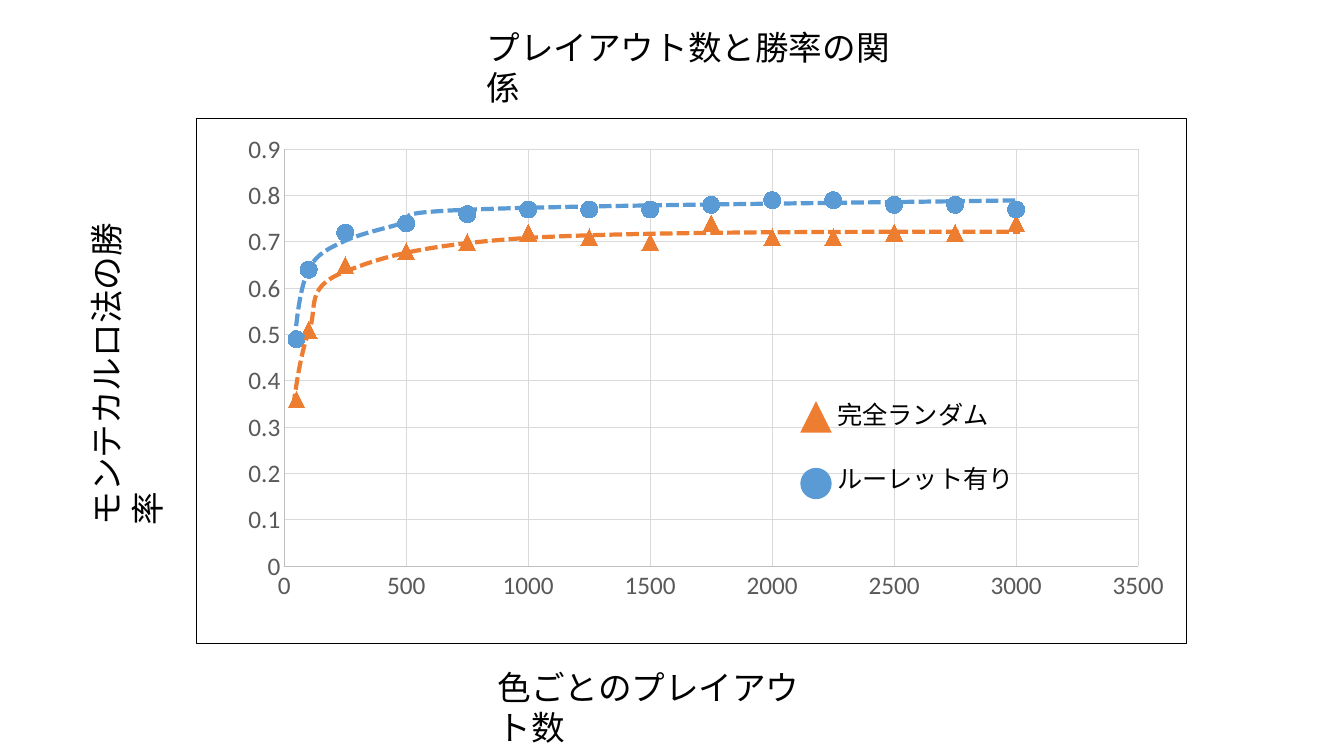
from lxml import etree
from pptx import Presentation
from pptx import util as u
from pptx.chart.data import XyChartData
from pptx.dml.color import RGBColor
from pptx.enum import chart as ch, dml, shapes, text
from pptx.oxml import parse_xml
from pptx.oxml.ns import nsdecls, qn

Cm, Pt = u.Cm, u.Pt
MSO = shapes.MSO_SHAPE

THEME = dict(
    orange="ED7D31", blue="5B9BD5", ink="000000", tick="595959",
    axis="BFBFBF", grid="D9D9D9",
    text_font="Times New Roman", chart_font="Calibri",
    label_size=24, legend_size=18, tick_size=18,
    marker_size=12, thin=0.75, trend=3,
)

# text, left, top, width, rotation (cm, degrees)
LABELS = [
    ("プレイアウト数と勝率の関係", 12.01, 0.55, 10.82, 0),
    ("色ごとのプレイアウト数", 12.29, 16.68, 8.94, 0),
    ("モンテカルロ法の勝率", -1.53, 8.64, 8.43, 270),
]
CHART_BOX = (4.93, 2.97, 24.99, 13.26)
PLOT = dict(x=0.089, y=0.059, w=0.862, h=0.794)
PLAYOUTS = [50, 100] + list(range(250, 3001, 250))
SERIES = [
    ("Series 1", "blue", ch.XL_MARKER_STYLE.CIRCLE,
     [0.49, 0.64, 0.72, 0.74, 0.76, 0.77, 0.77, 0.77, 0.78, 0.79, 0.79, 0.78, 0.78, 0.77]),
    ("Series 2", "orange", ch.XL_MARKER_STYLE.TRIANGLE,
     [0.36, 0.51, 0.65, 0.68, 0.7, 0.72, 0.71, 0.7, 0.74, 0.71, 0.71, 0.72, 0.72, 0.74]),
]
# text, colour, shape, top of mark, top of text
LEGEND = [
    ("完全ランダム", "orange", MSO.ISOSCELES_TRIANGLE, 10.11, 9.93),
    ("ルーレット有り", "blue", MSO.OVAL, 11.79, 11.56),
]
LEGEND_MARK_LEFT, LEGEND_TEXT_LEFT, MARK = 20.17, 20.85, 0.79
# colour, then the start point followed by three points per Bezier segment
TRENDS = [
    ("orange", [
        (7.39, 10.24),
        (7.49, 9.55), (7.59, 8.86), (7.8, 8.31),
        (8, 7.75), (7.7, 7.26), (8.61, 6.88),
        (9.55, 6.5), (10.54, 6.17), (13.39, 5.99),
        (16.23, 5.84), (20.96, 5.84), (25.7, 5.84)]),
    ("blue", [
        (7.42, 8.64),
        (7.49, 7.92), (7.57, 7.24), (7.77, 6.81),
        (7.98, 6.38), (8.28, 6.27), (8.69, 6.07),
        (9.09, 5.89), (9.65, 5.77), (10.21, 5.61),
        (10.74, 5.49), (9.35, 5.38), (11.91, 5.28),
        (14.5, 5.18), (20.07, 5.13), (25.63, 5.05)]),
]


def rgb(name):
    return RGBColor.from_string(THEME[name])


def paint_line(line, color, width):
    line.color.rgb = rgb(color)
    line.width = Pt(THEME[width])


def set_font(font, size, color, face):
    font.size = Pt(THEME[size])
    font.color.rgb = rgb(color)
    font.name = THEME[face]


def add_text(parent, content, left, top, width, height=1.27, size="label_size", rotation=0):
    sp = parent.shapes.add_textbox(Cm(left), Cm(top), Cm(width), Cm(height))
    sp.rotation = rotation
    tf = sp.text_frame
    tf.word_wrap = True
    tf.auto_size = text.MSO_AUTO_SIZE.SHAPE_TO_FIT_TEXT
    r = tf.paragraphs[0].add_run()
    r.text = content
    set_font(r.font, size, "ink", "text_font")


def style_axis(axis, maximum, step):
    axis.minimum_scale, axis.maximum_scale, axis.major_unit = 0, maximum, step
    axis.major_tick_mark = axis.minor_tick_mark = ch.XL_TICK_MARK.NONE
    axis.has_major_gridlines = True
    paint_line(axis.major_gridlines.format.line, "grid", "thin")
    paint_line(axis.format.line, "axis", "thin")
    axis.tick_labels.number_format = "General"
    axis.tick_labels.number_format_is_linked = False
    set_font(axis.tick_labels.font, "tick_size", "tick", "chart_font")


def frame_chart(chart):
    """Fix the inner plot area and outline the whole chart."""
    plot_area = chart._chartSpace.chart.plotArea
    for old in plot_area.findall(qn("c:layout")):
        plot_area.remove(old)
    edges = "".join(f'<c:{k}Mode val="edge"/>' for k in "xy")
    sizes = "".join(f'<c:{k} val="{v}"/>' for k, v in PLOT.items())
    plot_area.insert(0, parse_xml(
        f'<c:layout {nsdecls("c")}><c:manualLayout><c:layoutTarget val="inner"/>'
        f'{edges}{sizes}</c:manualLayout></c:layout>'))
    chart._chartSpace.chart.addnext(parse_xml(
        f'<c:spPr {nsdecls("c", "a")}><a:noFill/><a:ln w="{Pt(THEME["thin"])}"><a:solidFill>'
        f'<a:srgbClr val="{THEME["ink"]}"/></a:solidFill></a:ln></c:spPr>'))


def add_scatter(parent):
    data = XyChartData()
    for name, _, _, rates in SERIES:
        s = data.add_series(name)
        for playouts, rate in zip(PLAYOUTS, rates):
            s.add_data_point(playouts, rate)
    chart = parent.shapes.add_chart(
        ch.XL_CHART_TYPE.XY_SCATTER, *map(Cm, CHART_BOX), data).chart
    chart.has_legend = chart.has_title = False
    set_font(chart.font, "tick_size", "tick", "chart_font")
    chart.plots[0].vary_by_categories = False
    for s, (_, color, marker, _) in zip(chart.plots[0].series, SERIES):
        s.smooth = False
        s.format.line.fill.background()
        s.marker.style = marker
        s.marker.size = THEME["marker_size"]
        s.marker.format.fill.solid()
        s.marker.format.fill.fore_color.rgb = rgb(color)
        s.marker.format.line.color.rgb = rgb(color)
    style_axis(chart.category_axis, 3500, 500)
    style_axis(chart.value_axis, 0.9, 0.1)
    frame_chart(chart)


def bend_segments(sp):
    """Turn each three straight segments into one cubic Bezier segment."""
    outline = next(sp._element.iter(qn("a:path")))
    straight = outline.findall(qn("a:lnTo"))
    for i in range(0, len(straight), 3):
        curve = etree.SubElement(outline, qn("a:cubicBezTo"))
        for segment in straight[i:i + 3]:
            curve.append(segment[0])
            outline.remove(segment)


def add_trend(parent, color, points):
    start, *rest = [(Cm(x), Cm(y)) for x, y in points]
    builder = parent.shapes.build_freeform(*start)
    builder.add_line_segments(rest, close=False)
    sp = builder.convert_to_shape()
    bend_segments(sp)
    sp.shadow.inherit = False
    sp.fill.background()
    paint_line(sp.line, color, "trend")
    sp.line.dash_style = dml.MSO_LINE.SQUARE_DOT


def add_legend_entry(parent, name, color, kind, mark_top, text_top):
    sp = parent.shapes.add_shape(kind, Cm(LEGEND_MARK_LEFT), Cm(mark_top), Cm(MARK), Cm(MARK))
    sp.shadow.inherit = False
    sp.fill.solid()
    sp.fill.fore_color.rgb = rgb(color)
    sp.line.fill.background()
    add_text(parent, name, LEGEND_TEXT_LEFT, text_top, 7.49, 1.52, size="legend_size")


def main():
    prs = Presentation()
    prs.slide_width, prs.slide_height = Cm(33.87), Cm(19.05)
    slide = prs.slides.add_slide(prs.slide_layouts[6])
    for content, left, top, width, rotation in LABELS:
        add_text(slide, content, left, top, width, rotation=rotation)
    graph = slide.shapes.add_group_shape()
    add_scatter(graph)
    for entry in LEGEND:
        add_legend_entry(graph, *entry)
    for color, points in TRENDS:
        add_trend(graph, color, points)
    prs.save("out.pptx")


if __name__ == "__main__":
    main()
